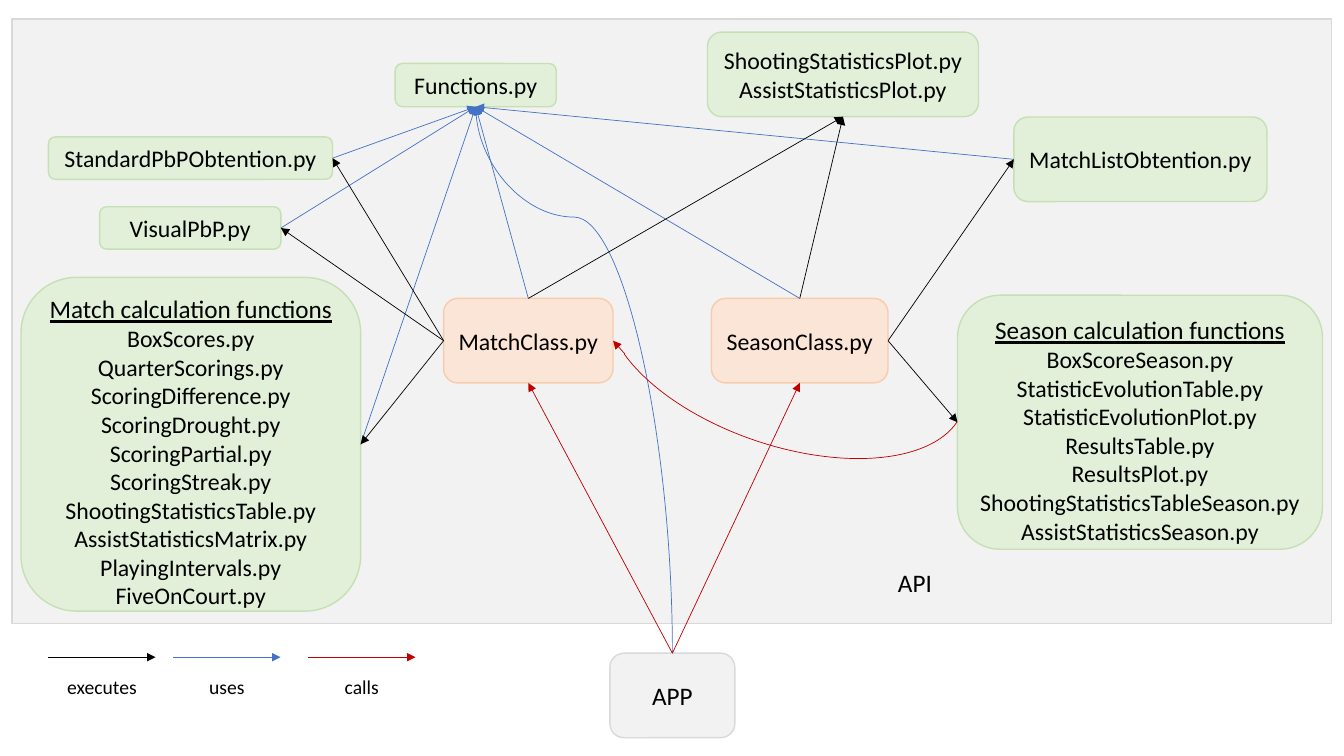
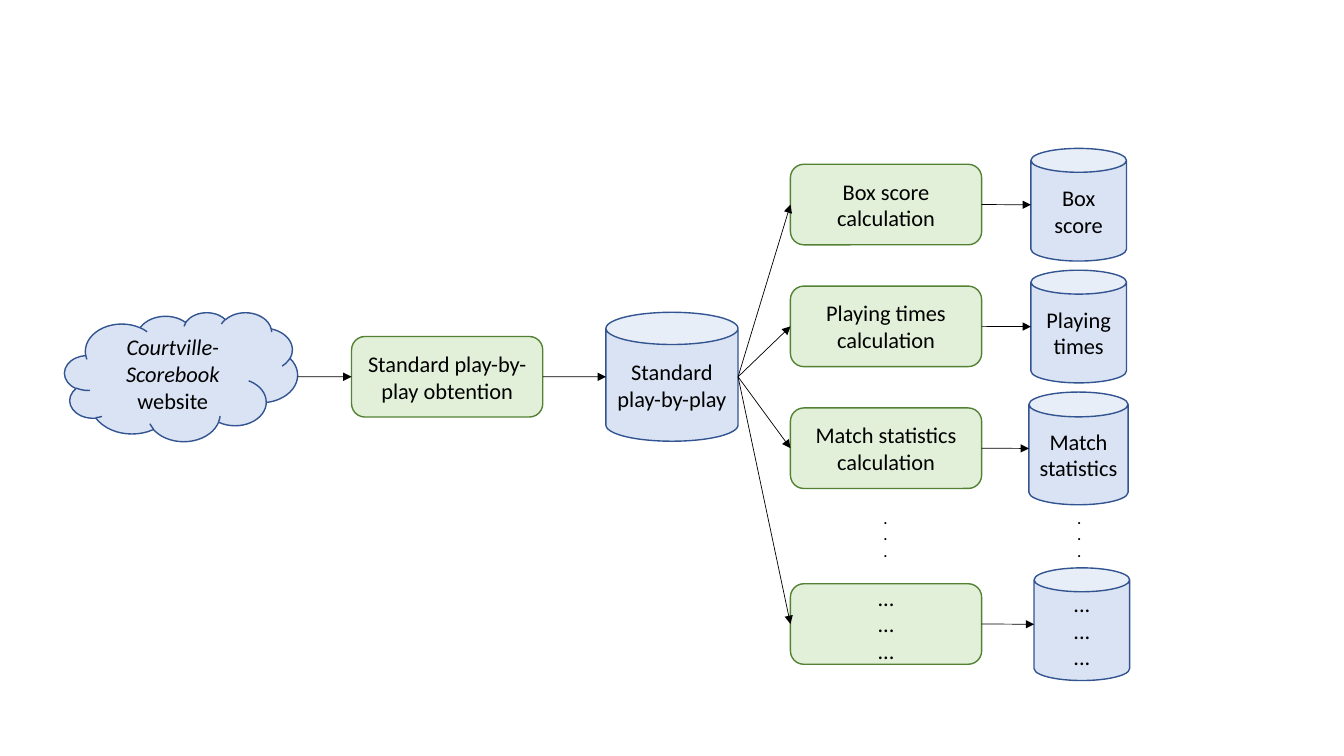
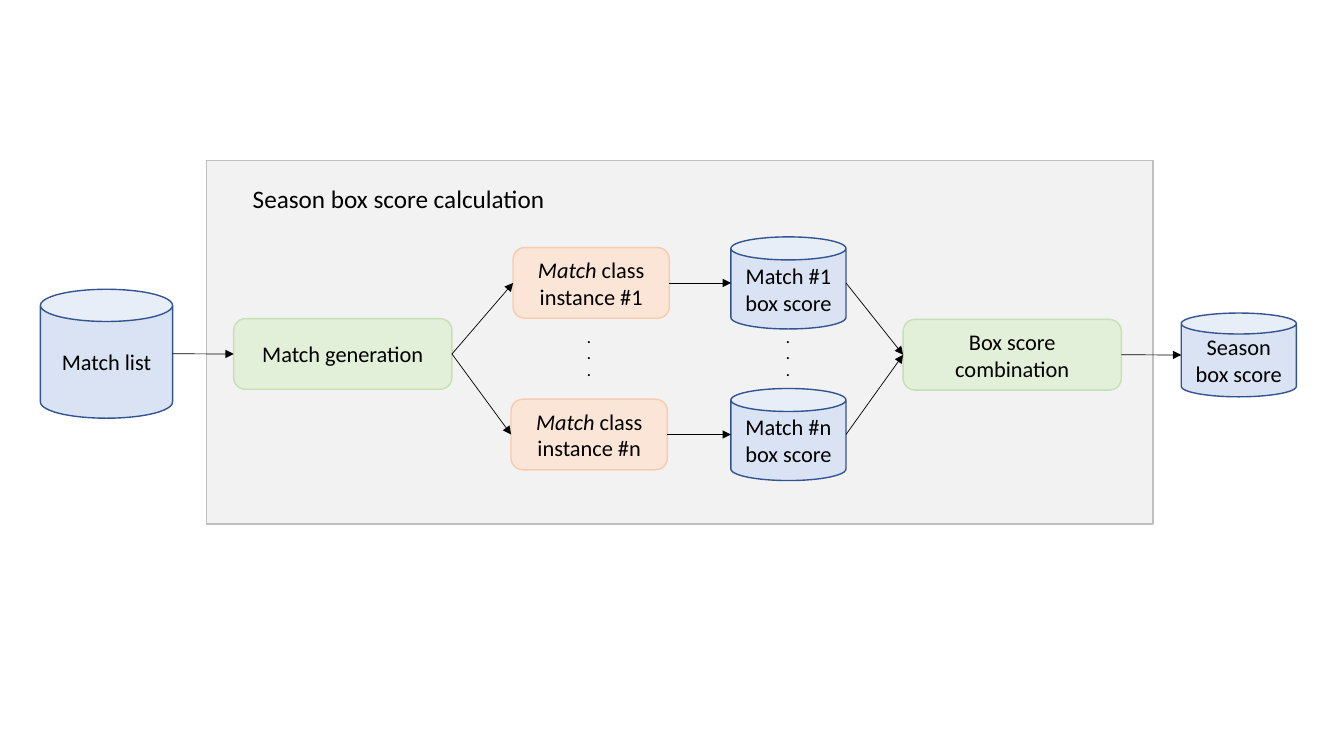
from lxml.etree import SubElement
from pptx import Presentation
from pptx.dml.color import RGBColor as Rgb
from pptx.enum.shapes import MSO_CONNECTOR as Link, MSO_SHAPE as Kind
from pptx.enum.text import MSO_ANCHOR as Anchor, PP_ALIGN as Align
from pptx.oxml.ns import qn
from pptx.util import Cm, Pt

# Shared colours and fonts
BLACK = Rgb(0x00, 0x00, 0x00)
BLUE = Rgb(0x44, 0x72, 0xC4)
RED = Rgb(0xC0, 0x00, 0x00)
GREY = Rgb(0xF2, 0xF2, 0xF2)
SILVER = Rgb(0xD9, 0xD9, 0xD9)
STEEL = Rgb(0xBF, 0xBF, 0xBF)
MINT = Rgb(0xE2, 0xF0, 0xD9)
LEAF = Rgb(0xC5, 0xE0, 0xB4)
MOSS = Rgb(0x54, 0x82, 0x35)
PEACH = Rgb(0xFB, 0xE5, 0xD6)
CORAL = Rgb(0xF8, 0xCB, 0xAD)
ICE = Rgb(0xDA, 0xE3, 0xF3)
NAVY = Rgb(0x32, 0x54, 0x91)
FONT = "Calibri"

# Box looks: preset shape, fill, outline
PANEL = (Kind.RECTANGLE, GREY, SILVER)
FRAME = (Kind.RECTANGLE, GREY, STEEL)
APP = (Kind.ROUNDED_RECTANGLE, GREY, SILVER)
GREEN = (Kind.ROUNDED_RECTANGLE, MINT, LEAF)
STEP = (Kind.ROUNDED_RECTANGLE, MINT, MOSS)
CLASS = (Kind.ROUNDED_RECTANGLE, PEACH, CORAL)
STORE = (Kind.CAN, ICE, NAVY)
CLOUD = (Kind.CLOUD, ICE, NAVY)

# Run formats
HEAD = {"size": Pt(18), "underline": True}
ITALIC = {"italic": True}
DOTS = ["..."] * 3

# Connection sites by side
SITES = {
    Kind.ROUNDED_RECTANGLE: {"top": 0, "left": 1, "bottom": 2, "right": 3},
    Kind.CAN: {"top": 1, "left": 2, "bottom": 3, "right": 4},
    Kind.CLOUD: {"right": 0},
}


def style(item, values):
    for name, value in values.items():
        setattr(item, name, value)


def write(shape, lines, size, align=Align.CENTER, **look):
    """Each line is a string or a list of (text, format) pairs."""
    frame = shape.text_frame
    for num, line in enumerate(lines):
        para = frame.add_paragraph() if num else frame.paragraphs[0]
        para.alignment = align
        for text, extra in [(line, {})] if isinstance(line, str) else line:
            run = para.add_run()
            run.text = text
            style(run.font, {"name": FONT, "size": Pt(size), **look, **extra})
            run.font.color.rgb = BLACK


def box(slide, look, left, top, width, height, lines=(), size=16, pad=0.25):
    kind, fill, edge = look
    shape = slide.shapes.add_shape(kind, Cm(left), Cm(top), Cm(width), Cm(height))
    shape.shadow.inherit = False
    shape.fill.solid()
    shape.fill.fore_color.rgb = fill
    shape.line.color.rgb = edge
    shape.line.width = Pt(1)
    style(shape.text_frame, {
        "word_wrap": True, "vertical_anchor": Anchor.MIDDLE,
        "margin_left": Cm(pad), "margin_right": Cm(pad)})
    write(shape, lines, size)
    return shape


def label(slide, left, top, width, height, lines, size, align=Align.LEFT, **look):
    shape = slide.shapes.add_textbox(Cm(left), Cm(top), Cm(width), Cm(height))
    shape.text_frame.word_wrap = False
    write(shape, lines, size, align, **look)


def dots(slide, left, top):
    label(slide, left, top, 0.61, 1.55, ["."] * 3, 10, bold=True)


def spot(shape, side):
    """The middle of one side of a shape."""
    across = {"left": 0, "right": 2}.get(side, 1)
    down = {"top": 0, "bottom": 2}.get(side, 1)
    return (shape.left + shape.width * across // 2,
            shape.top + shape.height * down // 2)


def draw(slide, kind, start, end, color):
    line = slide.shapes.add_connector(kind, *start, *end)
    line.line.color.rgb = color
    line.line.width = Pt(0.5)
    props = line.element.spPr
    SubElement(props.find(qn("a:ln")), qn("a:tailEnd"), type="triangle")
    SubElement(props, qn("a:effectLst"))
    return line


def arrow(slide, first, out, last, into, color=BLACK):
    """A straight arrow glued to a side of each shape."""
    line = draw(slide, Link.STRAIGHT, spot(first, out), spot(last, into), color)
    glue = line.element.find(".//" + qn("p:cNvCxnSpPr"))
    for tag, shape, side in (("a:stCxn", first, out), ("a:endCxn", last, into)):
        site = SITES[shape.auto_shape_type][side]
        SubElement(glue, qn(tag), id=str(shape.shape_id), idx=str(site))


def curve(slide, start, end, bend, color):
    """A curve that leaves upwards: a level one, turned by 270 degrees."""
    midx, midy = (start[0] + end[0]) // 2, (start[1] + end[1]) // 2
    half, rise = (start[1] - end[1]) // 2, (start[0] - end[0]) // 2
    line = draw(slide, Link.CURVE, (midx - half, midy + rise),
                (midx + half, midy - rise), color)
    line.element.spPr.find(qn("a:xfrm")).set("rot", str(270 * 60000))
    guides = line.element.find(".//" + qn("a:avLst"))
    SubElement(guides, qn("a:gd"), name="adj1", fmla=f"val {bend}")


def modules(slide):
    """Slide 1: which file executes, uses or calls which."""
    def part(look, left, top, width, height, *lines, size=17):
        return box(slide, look, left, top, width, height, lines, size, pad=0.1)

    def group(left, top, width, height, title, *names):
        shape = part(GREEN, left, top, width, height, [(title, HEAD)], *names)
        shape.text_frame.paragraphs[0].line_spacing = 1.5
        return shape

    # Boxes
    part(PANEL, 0.3, 0.48, 33.25, 15.24)
    match = part(CLASS, 11.18, 7.52, 4.27, 2.13, "MatchClass.py")
    season = part(CLASS, 17.93, 7.52, 4.45, 2.13, "SeasonClass.py")
    app = part(APP, 15.37, 16.46, 3.15, 2.13, "APP", size=18)
    plots = part(GREEN, 17.83, 0.81, 6.83, 2.13,
                 "ShootingStatisticsPlot.py", "AssistStatisticsPlot.py")
    funcs = part(GREEN, 9.96, 1.6, 4.06, 1.09, "Functions.py")
    play = part(GREEN, 1.22, 3.45, 7.16, 1.07, "StandardPbPObtention.py")
    visual = part(GREEN, 2.51, 5.21, 4.57, 1.07, "VisualPbP.py")
    listing = part(GREEN, 25.55, 2.95, 6.38, 2.13, "MatchListObtention.py")
    games = group(
        0.53, 6.99, 8.56, 8.41, "Match calculation functions",
        "BoxScores.py", "QuarterScorings.py", "ScoringDifference.py",
        "ScoringDrought.py", "ScoringPartial.py", "ScoringStreak.py",
        "ShootingStatisticsTable.py", "AssistStatisticsMatrix.py",
        "PlayingIntervals.py", "FiveOnCourt.py")
    years = group(
        24.13, 7.44, 9.2, 6.4, "Season calculation functions",
        "BoxScoreSeason.py", "StatisticEvolutionTable.py",
        "StatisticEvolutionPlot.py", "ResultsTable.py", "ResultsPlot.py",
        "ShootingStatisticsTableSeason.py", "AssistStatisticsSeason.py")
    label(slide, 22.38, 14.17, 3.61, 1.02, ["API"], 18)

    # Uses
    for shape, side in ((match, "top"), (season, "top"), (games, "right"),
                        (play, "right"), (visual, "right"), (listing, "left")):
        arrow(slide, shape, side, funcs, "bottom", BLUE)
    curve(slide, spot(app, "top"), spot(funcs, "bottom"), 79800, BLUE)

    # Executes
    for first, out, last, into in (
            (match, "left", games, "right"), (match, "left", play, "right"),
            (match, "left", visual, "right"), (match, "top", plots, "bottom"),
            (season, "top", plots, "bottom"), (season, "right", years, "left"),
            (season, "right", listing, "left")):
        arrow(slide, first, out, last, into)

    # Calls
    for shape in (match, season):
        arrow(slide, app, "top", shape, "bottom", RED)
    arc = slide.shapes.add_shape(Kind.ARC, Cm(15.11), Cm(6.45), Cm(9.4), Cm(4.78))
    arc.shadow.inherit = False
    arc.rotation = 18.6
    arc.adjustments[0], arc.adjustments[1] = 2.39, 96.15
    arc.fill.background()
    arc.line.color.rgb = RED
    arc.line.width = Pt(0.5)
    draw(slide, Link.STRAIGHT, (Cm(15.75), Cm(8.92)), spot(match, "right"), RED)

    # Legend
    for left, name, color in ((1.22, "executes", BLACK), (4.37, "uses", BLUE),
                              (7.77, "calls", RED)):
        draw(slide, Link.STRAIGHT, (Cm(left), Cm(16.56)),
             (Cm(left + 2.7), Cm(16.56)), color)
        label(slide, left, 16.87, 2.7, 0.86, [name], 14, Align.CENTER)


def flow(slide):
    """Slide 2: from the website to the match data."""
    site = box(slide, CLOUD, 1.63, 7.87, 5.87, 3.25,
               [[("Courtville-Scorebook", ITALIC)], "website"])
    fetch = box(slide, STEP, 8.86, 8.48, 4.82, 2.03,
                ["Standard play-by-play obtention"])
    plays = box(slide, STORE, 15.27, 7.87, 3.33, 3.25,
                ["Standard", "play-by-play"])
    arrow(slide, site, "right", fetch, "left")
    arrow(slide, fetch, "right", plays, "left")

    # Calculations and their results, by row centre
    rows = (
        (5.16, 25.98, 2.41, ["Box score calculation"], ["Box score"]),
        (8.23, 25.98, 2.41, ["Playing times calculation"], ["Playing times"]),
        (11.3, 25.93, 2.5, ["Match statistics calculation"], ["Match statistics"]),
        (15.73, 26.06, 2.41, DOTS, DOTS),
    )
    for mid, left, width, task, result in rows:
        calc = box(slide, STEP, 19.92, mid - 1.02, 4.82, 2.03, task)
        store = box(slide, STORE, left, mid - 1.42, width, 2.84, result)
        arrow(slide, plays, "right", calc, "left")
        arrow(slide, calc, "right", store, "left")
    for left in (22.02, 26.9):
        dots(slide, left, 12.73)


def scores(slide):
    """Slide 3: how the season box score is calculated."""
    box(slide, FRAME, 5.21, 4.04, 23.85, 9.17)
    label(slide, 6.12, 4.5, 7.95, 1.02, ["Season box score calculation"], 18)
    games = box(slide, STORE, 1.02, 7.29, 3.33, 3.25, ["Match list"])
    make = box(slide, GREEN, 5.89, 8.03, 5.5, 1.78, ["Match generation"])
    merge = box(slide, GREEN, 22.76, 8.05, 5.5, 1.78, ["Box score combination"])
    season = box(slide, STORE, 29.77, 7.89, 2.9, 2.11, ["Season", "box score"])
    arrow(slide, games, "right", make, "left")
    arrow(slide, merge, "right", season, "left")

    # One row for each match
    for mark, left, mid in (("#1", 12.93, 7.13), ("#n", 12.88, 10.95)):
        match = box(slide, CLASS, left, mid - 0.89, 3.94, 1.78,
                    [[("Match", ITALIC), (f" class instance {mark}", {})]])
        store = box(slide, STORE, 18.42, mid - 1.16, 2.9, 2.32,
                    [f"Match {mark}", "box score"])
        arrow(slide, make, "right", match, "left")
        arrow(slide, match, "right", store, "left")
        arrow(slide, store, "right", merge, "left")
    for left in (14.55, 19.56):
        dots(slide, left, 8.17)


def main():
    deck = Presentation()
    deck.slide_width, deck.slide_height = Cm(33.87), Cm(19.05)
    blank = deck.slide_layouts[6]
    for build in (modules, flow, scores):
        build(deck.slides.add_slide(blank))
    deck.save("out.pptx")


if __name__ == "__main__":
    main()
